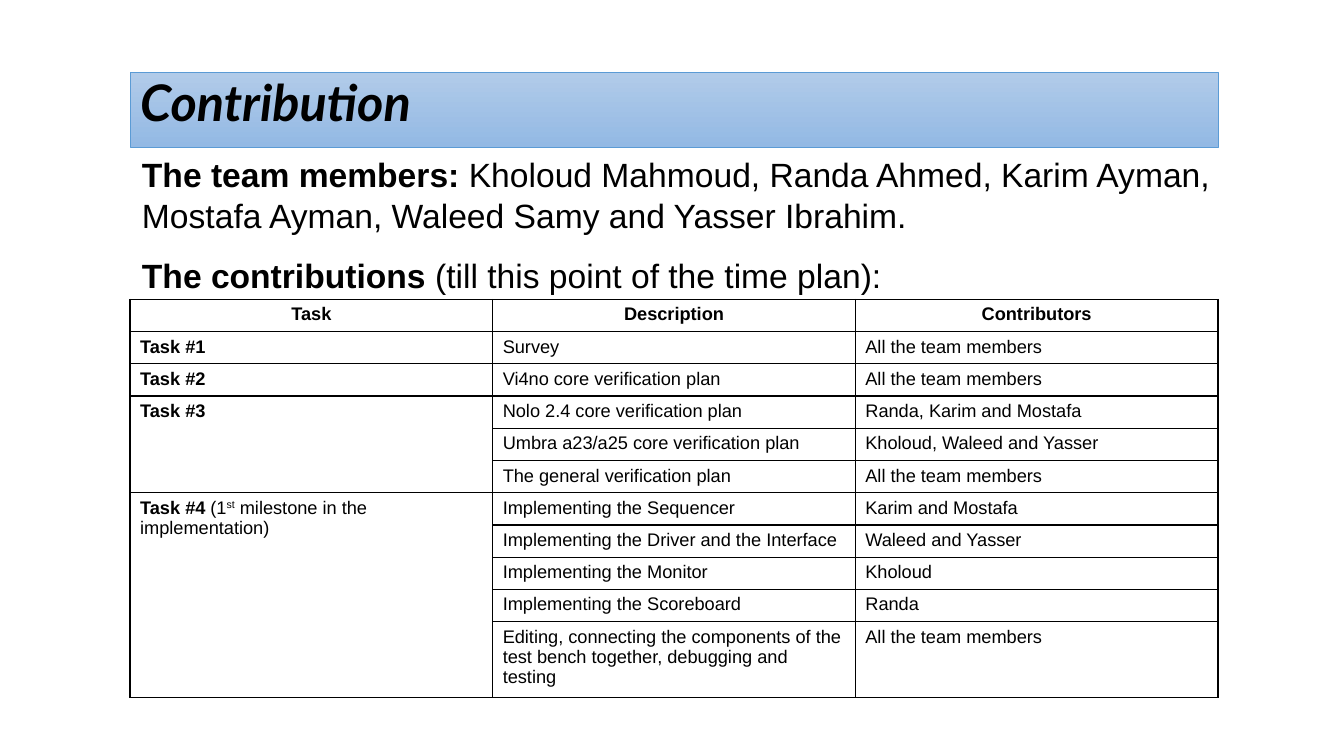
from pptx import Presentation
from pptx.dml.color import RGBColor
from pptx.enum.text import MSO_ANCHOR, MSO_AUTO_SIZE, PP_ALIGN
from pptx.oxml import parse_xml
from pptx.oxml.ns import nsdecls
from pptx.util import Inches, Pt

BLACK = "000000"
TITLE_FONT = {"name": "Lato", "size": Pt(36), "bold": True, "italic": True}
BODY_FONT = {"name": "Arial", "size": Pt(24)}
CELL_FONT = {"name": "Arial", "size": Pt(13)}

INTRO = [
    ("The team members: ", "Kholoud Mahmoud, Randa Ahmed, Karim Ayman, "
     "Mostafa Ayman, Waleed Samy and Yasser Ibrahim.", 1.0),
    ("The contributions ", "(till this point of the time plan):", 1.5),
]
HEADERS = ["Task", "Description", "Contributors"]
EVERYONE = "All the team members"
# Each task: bold label, plain runs, then its (description, contributors) rows
TASKS = [
    ("Task #1", [], [("Survey", EVERYONE)]),
    ("Task #2", [], [("Vi4no core verification plan", EVERYONE)]),
    ("Task #3", [], [
        ("Nolo 2.4 core verification plan", "Randa, Karim and Mostafa"),
        ("Umbra a23/a25 core verification plan", "Kholoud, Waleed and Yasser"),
        ("The general verification plan", EVERYONE)]),
    ("Task #4 ", ["(1", "st", " milestone in the implementation)"], [
        ("Implementing the Sequencer", "Karim and Mostafa"),
        ("Implementing the Driver and the Interface", "Waleed and Yasser"),
        ("Implementing the Monitor", "Kholoud"),
        ("Implementing the Scoreboard", "Randa"),
        ("Editing, connecting the components of the test bench together, "
         "debugging and testing", EVERYONE)]),
]


def color(hex_string):
    return RGBColor.from_string(hex_string)


def apply(target, values):
    for name, value in values.items():
        setattr(target, name, value)


def add_run(paragraph, text, font, **extra):
    run = paragraph.add_run()
    run.text = text
    apply(run.font, {**font, **extra})
    run.font.color.rgb = color(BLACK)
    return run


def place(shape, box):
    sides = ("left", "top", "width", "height")
    apply(shape, {side: Inches(value) for side, value in zip(sides, box)})


def add_title(slide, box, text):
    title = slide.shapes.title
    place(title, box)
    # Vertical gradient, light at the top
    title.fill.gradient()
    title.fill.gradient_angle = 270
    for stop, shade in zip(title.fill.gradient_stops, ("B1CBE9", "93B9E4")):
        stop.color.rgb = color(shade)
    title.line.color.rgb = color("5B9BD5")
    title.line.width = Pt(0.5)
    apply(title.text_frame, {"word_wrap": True, "auto_size": MSO_AUTO_SIZE.NONE,
                             "vertical_anchor": MSO_ANCHOR.TOP})
    paragraph = title.text_frame.paragraphs[0]
    apply(paragraph, {"alignment": PP_ALIGN.LEFT, "line_spacing": 0.9})
    add_run(paragraph, text, TITLE_FONT)


def add_intro(slide, box, entries):
    frame = slide.shapes.add_textbox(*map(Inches, box)).text_frame
    frame.word_wrap = True
    for index, (label, text, spacing) in enumerate(entries):
        paragraph = frame.add_paragraph() if index else frame.paragraphs[0]
        paragraph.line_spacing = spacing
        add_run(paragraph, label, BODY_FONT, bold=True)
        add_run(paragraph, text, BODY_FONT, bold=False)


def format_cell(cell):
    cell.fill.background()
    properties = cell._tc.get_or_add_tcPr()
    # Borders come before the fill
    for index, side in enumerate(("lnL", "lnR", "lnT", "lnB")):
        properties.insert(index, parse_xml(
            f'<a:{side} {nsdecls("a")} w="12700"><a:solidFill>'
            f'<a:srgbClr val="{BLACK}"/></a:solidFill></a:{side}>'))


def add_task_table(slide, box, headers, tasks):
    left, top, width, height = map(Inches, box)
    row_count = 1 + sum(len(rows) for _, _, rows in tasks)
    table = slide.shapes.add_table(row_count, len(headers), left, top, width, height).table
    apply(table, {"first_row": False, "horz_banding": False})
    # Equal rows; the last one takes the remaining height
    row_height = Inches(0.32)
    for row in table.rows:
        row.height = row_height
    table.rows[row_count - 1].height = height - row_height * (row_count - 1)
    for cell in table.iter_cells():
        format_cell(cell)

    def paragraph_at(row, column):
        return table.cell(row, column).text_frame.paragraphs[0]

    # Header row
    for column, header in enumerate(headers):
        paragraph = paragraph_at(0, column)
        paragraph.alignment = PP_ALIGN.CENTER
        add_run(paragraph, header, CELL_FONT, bold=True)

    # One merged label per task, beside its rows
    first = 1
    for label, details, rows in tasks:
        last = first + len(rows) - 1
        if last > first:
            table.cell(first, 0).merge(table.cell(last, 0))
        paragraph = paragraph_at(first, 0)
        add_run(paragraph, label, CELL_FONT, bold=True)
        for detail in details:
            run = add_run(paragraph, detail, CELL_FONT, bold=False)
            if detail == "st":
                run._r.get_or_add_rPr().set("baseline", "30000")
        for row, texts in enumerate(rows, first):
            for column, text in enumerate(texts, 1):
                add_run(paragraph_at(row, column), text, CELL_FONT, bold=False)
        first = last + 1


presentation = Presentation()
apply(presentation, {"slide_width": Inches(13.33), "slide_height": Inches(7.5)})
slide = presentation.slides.add_slide(presentation.slide_layouts[5])
add_title(slide, (1.29, 0.72, 10.79, 0.74), "Contribution")
add_intro(slide, (1.31, 1.48, 10.98, 1.5), INTRO)
add_task_table(slide, (1.29, 2.97, 10.79, 3.92), HEADERS, TASKS)
presentation.save("out.pptx")
